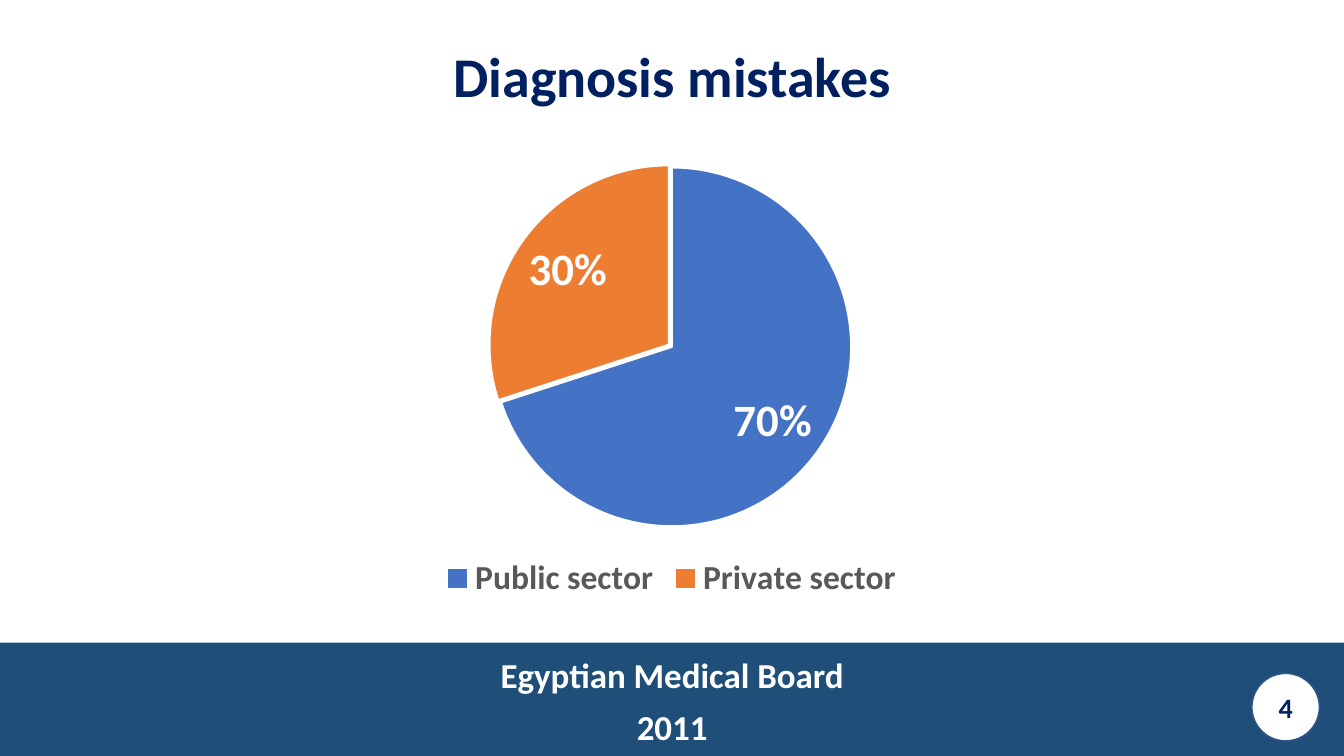
from dataclasses import dataclass

from pptx import Presentation
from pptx.chart.data import CategoryChartData
from pptx.dml.color import RGBColor
from pptx.enum.chart import XL_CHART_TYPE, XL_LABEL_POSITION, XL_LEGEND_POSITION
from pptx.enum.shapes import MSO_SHAPE
from pptx.enum.text import MSO_ANCHOR, MSO_AUTO_SIZE, PP_ALIGN
from pptx.oxml import parse_xml
from pptx.oxml.ns import nsdecls
from pptx.shapes.autoshape import Shape
from pptx.slide import Slide
from pptx.text.text import Font
from pptx.util import Cm, Pt

WHITE = RGBColor(0xFF, 0xFF, 0xFF)
NAVY = RGBColor(0x00, 0x20, 0x60)
BAND = RGBColor(0x1F, 0x4E, 0x79)
RING = RGBColor(0x32, 0x54, 0x91)
GREY = RGBColor(0x59, 0x59, 0x59)
BLUE = RGBColor(0x44, 0x72, 0xC4)
ORANGE = RGBColor(0xED, 0x7D, 0x31)
FACE = "Calibri"
WIDE, HIGH = 33.87, 19.05
TOP = 0.85 * HIGH


@dataclass
class Label:
    lines: list[str]
    size: float
    color: RGBColor
    anchor: MSO_ANCHOR
    pitch: float = 0.9
    gap: float = 0


@dataclass
class Slice:
    name: str
    share: int
    color: RGBColor
    burst: int


SLICES = [
    Slice("Public sector", 70, BLUE, 0),
    Slice("Private sector", 30, ORANGE, 2),
]


def style(font: Font, size: float, color: RGBColor) -> None:
    font.name = FACE
    font.size = Pt(size)
    font.bold = True
    font.color.rgb = color


def write(shape: Shape, label: Label) -> None:
    frame = shape.text_frame
    frame.word_wrap = True
    frame.auto_size = MSO_AUTO_SIZE.NONE
    frame.vertical_anchor = label.anchor
    for index, line in enumerate(label.lines):
        para = frame.add_paragraph() if index else frame.paragraphs[0]
        para.alignment = PP_ALIGN.CENTER
        para.line_spacing = label.pitch
        para.space_before = Pt(label.gap if index else 0)
        run = para.add_run()
        run.text = line
        style(run.font, label.size, label.color)


def add_band(slide: Slide) -> None:
    band = slide.shapes.add_shape(
        MSO_SHAPE.RECTANGLE, 0, Cm(TOP), Cm(WIDE), Cm(HIGH - TOP)
    )
    band.shadow.inherit = False
    band.fill.solid()
    band.fill.fore_color.rgb = BAND
    band.line.fill.background()


def add_title(slide: Slide) -> None:
    title = slide.shapes.title
    title.left, title.top = Cm(4.24), Cm(1.09)
    title.width, title.height = Cm(25.4), Cm(1.8)
    write(title, Label(["Diagnosis mistakes"], 40, NAVY, MSO_ANCHOR.BOTTOM))


def add_source(slide: Slide) -> None:
    box = slide.shapes.add_textbox(Cm(4.24), Cm(16.46), Cm(25.4), Cm(2.41))
    lines = ["Egyptian Medical Board", "2011"]
    write(box, Label(lines, 25, WHITE, MSO_ANCHOR.TOP, gap=10))


def add_badge(slide: Slide) -> None:
    badge = slide.shapes.add_shape(
        MSO_SHAPE.OVAL, Cm(31.55), Cm(16.97), Cm(1.7), Cm(1.7)
    )
    badge.shadow.inherit = False
    badge.fill.solid()
    badge.fill.fore_color.rgb = WHITE
    badge.line.color.rgb = RING
    badge.line.width = Pt(1)
    frame = badge.text_frame
    frame.margin_left = frame.margin_right = 0
    frame.margin_top = frame.margin_bottom = 0
    write(badge, Label(["4"], 20, NAVY, MSO_ANCHOR.MIDDLE, pitch=1))


def add_pie(slide: Slide) -> None:
    data = CategoryChartData(number_format="General")
    data.categories = [part.name for part in SLICES]
    data.add_series("Series 1", [part.share for part in SLICES])
    chart = slide.shapes.add_chart(
        XL_CHART_TYPE.PIE, Cm(7.34), Cm(3.78), Cm(19.18), Cm(11.48), data
    ).chart
    chart.has_title = False
    chart.font.name = FACE
    chart.font.size = Pt(10)
    chart.has_legend = True
    chart.legend.position = XL_LEGEND_POSITION.BOTTOM
    chart.legend.include_in_layout = False
    style(chart.legend.font, 24, GREY)
    plot = chart.plots[0]
    plot.vary_by_categories = True
    for index, part in enumerate(SLICES):
        point = plot.series[0].points[index]
        point.format.fill.solid()
        point.format.fill.fore_color.rgb = part.color
        point.format.line.color.rgb = WHITE
        point.format.line.width = Pt(1.5)
        if part.burst:
            burst = parse_xml(f'<c:explosion {nsdecls("c")} val="{part.burst}"/>')
            node = plot.series[0]._element.findall("{*}dPt")[index]
            node.find("{*}spPr").addprevious(burst)
    labels = plot.series[0].data_labels
    labels.show_percentage = True
    labels.show_value = False
    labels.number_format = "0%"
    labels.number_format_is_linked = False
    labels.position = XL_LABEL_POSITION.INSIDE_END
    style(labels.font, 32, WHITE)


def main() -> None:
    deck = Presentation()
    deck.slide_width, deck.slide_height = Cm(WIDE), Cm(HIGH)
    slide = deck.slides.add_slide(deck.slide_layouts[5])
    add_band(slide)
    add_source(slide)
    add_title(slide)
    add_badge(slide)
    add_pie(slide)
    deck.save("out.pptx")


if __name__ == "__main__":
    main()
